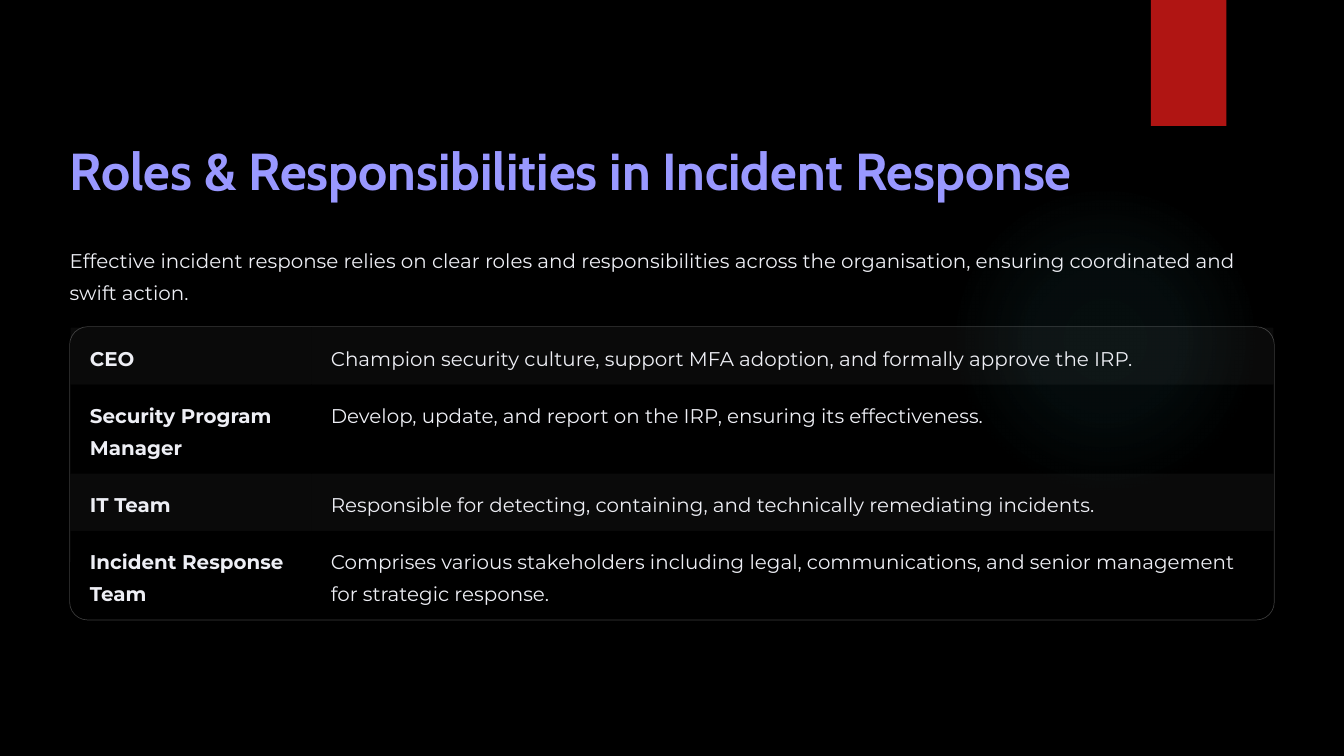
from lxml import etree
from pptx import Presentation
from pptx.dml.color import RGBColor
from pptx.enum.shapes import MSO_SHAPE
from pptx.enum.text import MSO_ANCHOR, PP_ALIGN
from pptx.oxml.ns import qn
from pptx.util import Inches, Pt

RECTANGLE, ROUNDED, OVAL = MSO_SHAPE.RECTANGLE, MSO_SHAPE.ROUNDED_RECTANGLE, MSO_SHAPE.OVAL
TOP, LEFT = MSO_ANCHOR.TOP, PP_ALIGN.LEFT

BLACK = RGBColor(0x00, 0x00, 0x00)
WHITE = RGBColor(0xFF, 0xFF, 0xFF)
RED = RGBColor(0xB0, 0x15, 0x13)
TEAL = RGBColor(0x50, 0xB9, 0xC1)
LILAC = RGBColor(0x99, 0x98, 0xFF)
PALE = RGBColor(0xEE, 0xEF, 0xF5)

SLIDE_W, SLIDE_H = 16, 9
MARGIN = 0.83
CONTENT_W = SLIDE_W - 2 * MARGIN
TEXT_LINE = 0.38
PAD_X, PAD_Y = 0.23, 0.15
BORDER = 0.01
ROLES_TOP = 3.89
ROLE_W = CONTENT_W / 5
PLAIN_TABLE_STYLE = "{2D5ABB26-0587-4C30-8999-92F81FD0307C}"

TITLE = "Roles & Responsibilities in Incident Response"
INTRO = ("Effective incident response relies on clear roles and responsibilities "
         "across the organisation, ensuring coordinated and swift action.")
# Role, responsibility, number of text lines
ROLES = [
    ("CEO", "Champion security culture, support MFA adoption, "
            "and formally approve the IRP.", 1),
    ("Security Program Manager",
     "Develop, update, and report on the IRP, ensuring its effectiveness.", 2),
    ("IT Team", "Responsible for detecting, containing, "
                "and technically remediating incidents.", 1),
    ("Incident Response Team",
     "Comprises various stakeholders including legal, communications, "
     "and senior management for strategic response.", 2),
]


def set_opacity(element, percent):
    for color in element.iter(qn("a:srgbClr")):
        etree.SubElement(color, qn("a:alpha"), val=str(percent * 1000))


def write(frame, text, size=17, font="Montserrat", color=PALE, bold=False, spacing=27):
    frame.word_wrap = True
    paragraph = frame.paragraphs[0]
    paragraph.alignment = LEFT
    paragraph.line_spacing = Pt(spacing)
    run = paragraph.add_run()
    run.text = text
    run.font.size = Pt(size)
    run.font.name = font
    run.font.bold = bold
    run.font.color.rgb = color


def add_text(slide, box, text, **text_format):
    frame = slide.shapes.add_textbox(*map(Inches, box)).text_frame
    frame.margin_left = frame.margin_right = frame.margin_top = frame.margin_bottom = 0
    write(frame, text, **text_format)


def add_plain_shape(slide, kind, box):
    """Add a shape with no fill, line or shadow."""
    shape = slide.shapes.add_shape(kind, *map(Inches, box))
    shape.shadow.inherit = False
    shape.fill.background()
    shape.line.fill.background()
    return shape


def add_glow(slide, box, color, stops):
    """Add a circle that fades outwards; stops are (position, opacity) in percent."""
    glow = add_plain_shape(slide, OVAL, box)
    properties = glow.fill._xPr
    properties.remove(properties.find(qn("a:noFill")))
    gradient = etree.Element(qn("a:gradFill"), rotWithShape="1")
    stop_list = etree.SubElement(gradient, qn("a:gsLst"))
    for position, opacity in stops:
        stop = etree.SubElement(stop_list, qn("a:gs"), pos=str(position * 1000))
        etree.SubElement(stop, qn("a:srgbClr"), val=str(color))
        set_opacity(stop, opacity)
    direction = etree.SubElement(gradient, qn("a:path"), path="circle")
    etree.SubElement(direction, qn("a:fillToRect"),
                     {side: "50000" for side in "ltrb"})
    properties.find(qn("a:prstGeom")).addnext(gradient)


def add_roles_frame(slide, height):
    frame = add_plain_shape(slide, ROUNDED, (MARGIN, ROLES_TOP, CONTENT_W, height))
    frame.adjustments[0] = 0.061
    frame.line.color.rgb = WHITE
    frame.line.width = Pt(0.6)
    set_opacity(frame.line._ln, 24)


def add_roles_table(slide, row_heights):
    width = CONTENT_W - 2 * BORDER
    table = slide.shapes.add_table(
        len(ROLES), 2, Inches(MARGIN + BORDER), Inches(ROLES_TOP + BORDER),
        Inches(width), Inches(sum(row_heights))).table
    table.first_row = table.horz_banding = False
    table._tbl.tblPr.find(qn("a:tableStyleId")).text = PLAIN_TABLE_STYLE
    table.columns[0].width = Inches(ROLE_W)
    table.columns[1].width = Inches(width - ROLE_W)
    for index, (role, duty, _) in enumerate(ROLES):
        table.rows[index].height = Inches(row_heights[index])
        for column, text in enumerate((role, duty)):
            cell = table.cell(index, column)
            cell.margin_left = cell.margin_right = Inches(PAD_X)
            cell.margin_top = cell.margin_bottom = Inches(PAD_Y)
            cell.vertical_anchor = TOP
            cell.fill.solid()
            cell.fill.fore_color.rgb = BLACK if index % 2 else WHITE
            set_opacity(cell._tc.tcPr, 4)
            write(cell.text_frame, text, bold=column == 0)


def main():
    presentation = Presentation()
    presentation.slide_width = Inches(SLIDE_W)
    presentation.slide_height = Inches(SLIDE_H)
    slide = presentation.slides.add_slide(presentation.slide_layouts[6])
    slide.background.fill.solid()
    slide.background.fill.fore_color.rgb = BLACK

    add_glow(slide, (11.3, 2.2, 3.7, 3.7), TEAL, [(0, 7), (36, 6), (69, 0)])
    ribbon = add_plain_shape(slide, RECTANGLE, (13.7, 0, 0.9, SLIDE_H / 6))
    ribbon.fill.solid()
    ribbon.fill.fore_color.rgb = RED

    add_text(slide, (MARGIN, 1.61, CONTENT_W, 0.78), TITLE,
             size=44.5, font="Cabin", color=LILAC, bold=True, spacing=56)
    add_text(slide, (MARGIN, 2.87, CONTENT_W, 2 * TEXT_LINE), INTRO)

    row_heights = [lines * TEXT_LINE + 2 * PAD_Y for _, _, lines in ROLES]
    add_roles_frame(slide, sum(row_heights) + BORDER)
    add_roles_table(slide, row_heights)
    presentation.save("out.pptx")


if __name__ == "__main__":
    main()
